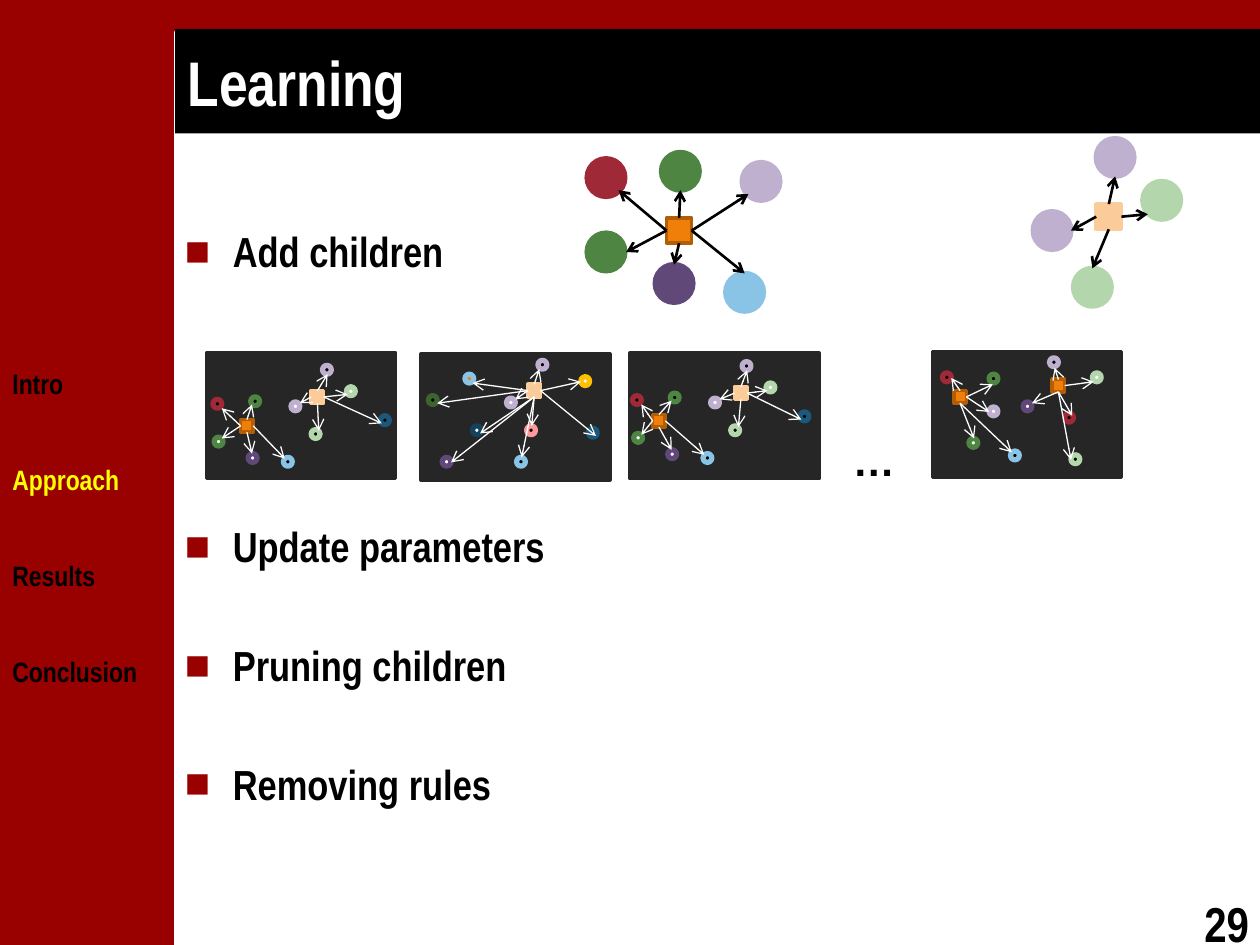
from dataclasses import dataclass

from lxml import etree
from pptx import Presentation
from pptx.dml.color import RGBColor
from pptx.enum.shapes import MSO_CONNECTOR, MSO_SHAPE
from pptx.enum.text import MSO_ANCHOR, PP_ALIGN
from pptx.oxml.ns import qn
from pptx.util import Inches, Pt

RECT, OVAL, STRAIGHT = MSO_SHAPE.RECTANGLE, MSO_SHAPE.OVAL, MSO_CONNECTOR.STRAIGHT
TOP, MIDDLE = MSO_ANCHOR.TOP, MSO_ANCHOR.MIDDLE
LEFT, CENTER = PP_ALIGN.LEFT, PP_ALIGN.CENTER
COLUMNS, ROWS = 10, 7.5


@dataclass(frozen=True)
class Theme:
    font: str = "Arial Narrow"
    symbol_font: str = "Arial"
    title_size: int = 36
    number_size: int = 28
    body_size: int = 24
    menu_size: int = 16
    brand: str = "990000"
    active: str = "FFFF00"
    black: str = "000000"
    white: str = "FFFFFF"
    panel: str = "262626"
    red: str = "9F2936"
    green: str = "4E8542"
    forest: str = "3B6432"
    mint: str = "B3D6AC"
    purple: str = "604878"
    lilac: str = "BFB0CF"
    sky: str = "89C3E5"
    navy: str = "1B587C"
    ink: str = "14425D"
    pink: str = "FF9999"
    gold: str = "FFC000"
    orange: str = "F07F09"
    rust: str = "B25E07"
    peach: str = "FBCC9A"


THEME = Theme()
ORANGE_HUB = (THEME.orange, THEME.rust)
PEACH_HUB = (THEME.peach, THEME.peach)
SIDES = {"left": (0, 0.5), "right": (1, 0.5), "top": (0.5, 0), "bottom": (0.5, 1)}

# Each leaf: ring, core, column, row, hub side where its arrow starts, arrow tip
PERSON_LEAVES = [
    ("red", "black", 1.69, 3.17, "left", 1.76, 3.24),
    ("purple", "white", 1.97, 3.60, "bottom", 2.00, 3.60),
    ("sky", "black", 2.25, 3.63, "right", 2.26, 3.64),
    ("green", "black", 1.99, 3.15, "top", 2.00, 3.21),
    ("green", "white", 1.70, 3.47, "left", 1.76, 3.48),
]
PARTNER_LEAVES = [
    ("navy", "black", 3.02, 3.30, "right", 3.03, 3.36),
    ("mint", "black", 2.47, 3.41, "bottom", 2.53, 3.42),
    ("lilac", "white", 2.31, 3.19, "left", 2.38, 3.20),
    ("mint", "white", 2.75, 3.07, "right", 2.76, 3.13),
    ("lilac", "black", 2.56, 2.90, "top", 2.60, 2.97),
]
WIDE_LEAVES = [
    ("forest", "black", 3.40, 3.14, "left", 3.47, 3.20),
    ("navy", "black", 4.67, 3.40, "right", 4.73, 3.46),
    ("purple", "white", 3.51, 3.63, "bottom", 3.58, 3.67),
    ("sky", "black", 4.10, 3.63, "bottom", 4.14, 3.63),
    ("pink", "black", 4.18, 3.38, "bottom", 4.22, 3.38),
    ("lilac", "white", 4.02, 3.16, "left", 4.09, 3.17),
    ("sky", "orange", 3.69, 2.97, "left", 3.75, 3.04),
    ("ink", "white", 3.75, 3.38, "bottom", 3.81, 3.44),
    ("gold", "white", 4.61, 2.99, "right", 4.61, 3.03),
    ("lilac", "black", 4.27, 2.86, "top", 4.28, 2.93),
]
LAST_LEFT_LEAVES = [
    ("red", "black", 7.48, 2.96, "top", 7.55, 3.00),
    ("green", "black", 7.85, 2.97, "right", 7.88, 3.05),
    ("lilac", "white", 7.85, 3.23, "right", 7.85, 3.27),
    ("green", "white", 7.69, 3.48, "bottom", 7.73, 3.48),
    ("sky", "black", 8.02, 3.58, "bottom", 8.03, 3.59),
]
LAST_RIGHT_LEAVES = [
    ("lilac", "black", 8.33, 2.84, "top", 8.37, 2.92),
    ("mint", "white", 8.67, 2.96, "right", 8.68, 3.03),
    ("purple", "white", 8.12, 3.19, "bottom", 8.19, 3.20),
    ("red", "black", 8.45, 3.28, "bottom", 8.51, 3.30),
    ("mint", "black", 8.50, 3.61, "bottom", 8.50, 3.65),
]
LARGE_ORANGE_LEAVES = [
    ("red", "red", 4.66, 1.26, "left", 4.91, 1.51),
    ("purple", "purple", 5.20, 2.10, "bottom", 5.35, 2.10),
    ("sky", "sky", 5.76, 2.17, "right", 5.91, 2.17),
    ("lilac", "lilac", 5.89, 1.29, "right", 5.94, 1.54),
    ("green", "green", 5.25, 1.21, "top", 5.40, 1.51),
    ("green", "green", 4.66, 1.85, "left", 4.97, 2.00),
]
LARGE_PEACH_LEAVES = [
    ("mint", "mint", 8.52, 2.13, "bottom", 8.67, 2.13),
    ("lilac", "lilac", 8.20, 1.68, "left", 8.50, 1.83),
    ("mint", "mint", 9.07, 1.44, "right", 9.11, 1.70),
    ("lilac", "lilac", 8.70, 1.10, "top", 8.85, 1.40),
]
SMALL = dict(leaf=0.07, hub=0.1, color=THEME.white, weight=0.75)
LARGE = dict(leaf=0.3, hub=0.2, color=THEME.black, weight=1.5)
STARS = [
    ((1.91, 3.33), ORANGE_HUB, PERSON_LEAVES, SMALL, (0, 0)),
    ((2.47, 3.10), PEACH_HUB, PARTNER_LEAVES, SMALL, (0, 0)),
    ((4.19, 3.05), PEACH_HUB, WIDE_LEAVES, SMALL, (0, 0)),
    ((5.18, 3.29), ORANGE_HUB, PERSON_LEAVES, SMALL, (3.33, -0.03)),
    ((5.83, 3.07), PEACH_HUB, PARTNER_LEAVES, SMALL, (3.33, -0.03)),
    ((7.57, 3.10), ORANGE_HUB, LAST_LEFT_LEAVES, SMALL, (0, 0)),
    ((8.35, 3.01), ORANGE_HUB, LAST_RIGHT_LEAVES, SMALL, (0, 0)),
    ((5.29, 1.73), ORANGE_HUB, LARGE_ORANGE_LEAVES, LARGE, (0, 0)),
    ((8.70, 1.62), PEACH_HUB, LARGE_PEACH_LEAVES, LARGE, (0, 0)),
]


def write(para, text, *, size, color=THEME.black, font=THEME.font, align=LEFT, before=0, bullet=False):
    if bullet:
        props = para._p.get_or_add_pPr()
        props.set("marL", str(Inches(0.38)))
        props.set("indent", str(-Inches(0.38)))
        tint = etree.SubElement(props, qn("a:buClr"))
        etree.SubElement(tint, qn("a:srgbClr"), val=THEME.brand)
        etree.SubElement(props, qn("a:buFont"), typeface=THEME.symbol_font)
        etree.SubElement(props, qn("a:buChar"), char="■")
    para.alignment = align
    para.space_before = Pt(before)
    span = para.add_run()
    span.text = text
    span.font.name, span.font.size, span.font.bold = font, Pt(size), True
    span.font.color.rgb = RGBColor.from_string(color)


class Page:
    def __init__(self, deck):
        self.slide = deck.slides.add_slide(deck.slide_layouts[6])
        self.column, self.row = deck.slide_width / COLUMNS, deck.slide_height / ROWS

    def place(self, *cells):
        """Turn alternating columns and rows into slide lengths."""
        return [round(cell * (self.row if i % 2 else self.column)) for i, cell in enumerate(cells)]

    def shape(self, kind, cells, fill, line=None, weight=2):
        shape = self.slide.shapes.add_shape(kind, *self.place(*cells))
        shape.shadow.inherit = False
        shape.fill.solid()
        shape.fill.fore_color.rgb = RGBColor.from_string(fill)
        if line:
            shape.line.color.rgb = RGBColor.from_string(line)
            shape.line.width = Pt(weight)
        else:
            shape.line.fill.background()
        return shape

    def text(self, cells, items, wrap=True):
        """Add a text box with one paragraph for each (text, format) pair."""
        box = self.slide.shapes.add_textbox(*self.place(*cells))
        frame = box.text_frame
        frame.word_wrap, frame.vertical_anchor = wrap, TOP
        for i, (text, style) in enumerate(items):
            write(frame.add_paragraph() if i else frame.paragraphs[0], text, **style)

    def arrow(self, start, tip, color, weight):
        arrow = self.slide.shapes.add_connector(STRAIGHT, *self.place(*start, *tip))
        arrow.line.color.rgb = RGBColor.from_string(color)
        arrow.line.width = Pt(weight)
        etree.SubElement(arrow.line._get_or_add_ln(), qn("a:tailEnd"), type="arrow")
        etree.SubElement(arrow._element.spPr, qn("a:effectLst"))

    def star(self, hub, hub_colors, leaves, style, shift):
        """Draw a square hub with arrows to its round leaves."""
        dx, dy = shift
        leaf, size = style["leaf"], style["hub"]
        for ring, core, x, y, *_ in leaves:
            self.shape(OVAL, (x + dx, y + dy, leaf, leaf), getattr(THEME, core), getattr(THEME, ring), 3)
        self.shape(RECT, (*hub, size, size), *hub_colors)
        for *_, side, x, y in leaves:
            start = [edge + size * share for edge, share in zip(hub, SIDES[side])]
            self.arrow(start, (x + dx, y + dy), style["color"], style["weight"])


def main():
    deck = Presentation()
    deck.slide_width, deck.slide_height = Inches(COLUMNS), Inches(ROWS)
    page = Page(deck)
    page.shape(RECT, (0, 0, 1.38, ROWS), THEME.brand)
    page.shape(RECT, (0, 0, COLUMNS, 0.25), THEME.brand)
    page.text((9.46, 7.04, 0.59, 0.57), [("29", dict(size=THEME.number_size))], wrap=False)

    steps = [("Add children", 0), ("Update parameters", 140), ("Pruning children", 39), ("Removing rules", 39)]
    page.text((1.37, 1.74, 8.6, 4.98),
              [(step, dict(size=THEME.body_size, before=gap, bullet=True)) for step, gap in steps])

    for x, y in [(1.64, 2.8), (3.34, 2.81), (5, 2.8), (7.4, 2.79)]:
        page.shape(RECT, (x, y, 1.5, 1), THEME.panel, THEME.panel)
    page.text((6.51, 3.4, 0.85, 0.51),
              [("…", dict(size=THEME.body_size, font=THEME.symbol_font, align=CENTER))])
    for star in STARS:
        page.star(*star)

    title = page.shape(RECT, (1.39, 0.23, 8.61, 0.83), THEME.black).text_frame
    title.vertical_anchor = MIDDLE
    write(title.paragraphs[0], "Learning", size=THEME.title_size, color=THEME.white)

    page.text((0, 2.86, 1.35, 2.9),
              [(name, dict(size=THEME.menu_size, before=35.6 if i else 0,
                           color=THEME.active if name == "Approach" else THEME.black))
               for i, name in enumerate(["Intro", "Approach", "Results", "Conclusion"])])
    deck.save("out.pptx")


if __name__ == "__main__":
    main()
